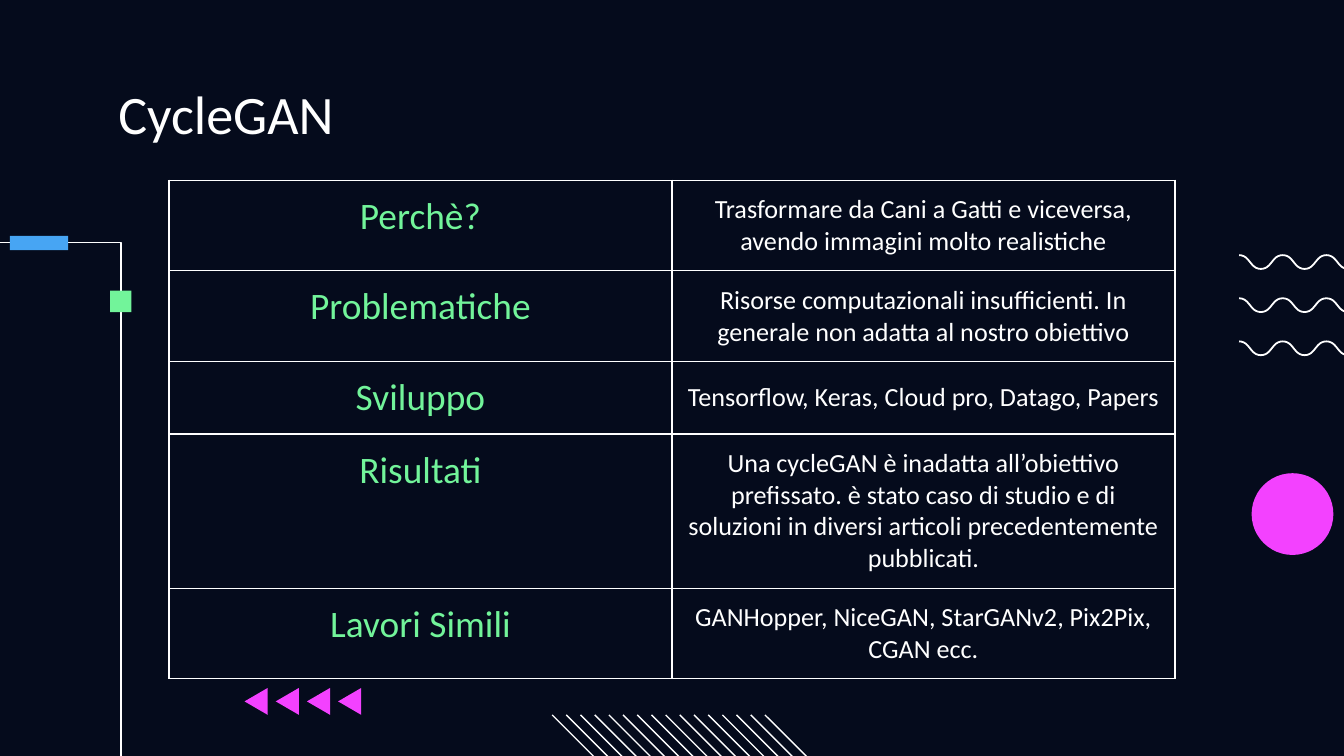
import dataclasses

import lxml.etree
import pptx
import pptx.dml.color
import pptx.enum.shapes
import pptx.enum.text
import pptx.oxml
import pptx.oxml.ns
import pptx.util

Pt = pptx.util.Pt
SHAPE = pptx.enum.shapes.MSO_SHAPE
ALIGN = pptx.enum.text.PP_ALIGN
ANCHOR = pptx.enum.text.MSO_ANCHOR
qn = pptx.oxml.ns.qn


@dataclasses.dataclass(frozen=True)
class Theme:
    navy: str = "050B1C"
    white: str = "FFFFFF"
    green: str = "72F49A"
    blue: str = "47A5F3"
    pink: str = "F341FF"
    font: str = "Calibri"
    title_size: float = 29
    label_size: float = 20
    body_size: float = 14
    thin: float = 0.75
    wave: float = 0.95


def rgb(value):
    return pptx.dml.color.RGBColor.from_string(value)


def write(tf, text, *, font, size, color, align=ALIGN.LEFT):
    """Put one formatted paragraph in a text frame."""
    tf.word_wrap = True
    p = tf.paragraphs[0]
    p.alignment = align
    r = p.add_run()
    r.text = text
    r.font.name = font
    r.font.size = Pt(size)
    r.font.bold = False
    r.font.color.rgb = rgb(color)


class Deck:
    def __init__(self, prs, theme):
        self.theme = theme
        self.s = prs.slides.add_slide(prs.slide_layouts[5])
        fill = self.s.background.fill
        fill.solid()
        fill.fore_color.rgb = rgb(theme.navy)

    def title(self, text, x, y, w, h):
        sp = self.s.shapes.title
        sp.left, sp.top, sp.width, sp.height = Pt(x), Pt(y), Pt(w), Pt(h)
        tf = sp.text_frame
        tf.auto_size = pptx.enum.text.MSO_AUTO_SIZE.NONE
        tf.vertical_anchor = ANCHOR.TOP
        tf.margin_left = tf.margin_right = tf.margin_bottom = Pt(7.2)
        tf.margin_top = 0
        write(tf, text, font=self.theme.font, size=self.theme.title_size,
              color=self.theme.white)

    def paint(self, sp, color):
        sp.shadow.inherit = False
        sp.fill.solid()
        sp.fill.fore_color.rgb = rgb(color)
        sp.line.fill.background()

    def shape(self, kind, x, y, w, h, color):
        sp = self.s.shapes.add_shape(kind, Pt(x), Pt(y), Pt(w), Pt(h))
        self.paint(sp, color)

    def outline(self, points, close):
        pts = [(Pt(x), Pt(y)) for x, y in points]
        fb = self.s.shapes.build_freeform(*pts[0])
        fb.add_line_segments(pts[1:], close=close)
        return fb.convert_to_shape()

    def polygon(self, points, color):
        self.paint(self.outline(points, True), color)

    def polyline(self, points, width):
        sp = self.outline(points, False)
        sp.shadow.inherit = False
        sp.fill.background()
        sp.line.color.rgb = rgb(self.theme.white)
        sp.line.width = Pt(width)

    def line(self, x1, y1, x2, y2):
        cx = self.s.shapes.add_connector(
            pptx.enum.shapes.MSO_CONNECTOR.STRAIGHT, Pt(x1), Pt(y1), Pt(x2), Pt(y2))
        cx.line.color.rgb = rgb(self.theme.white)
        cx.line.width = Pt(self.theme.thin)
        lxml.etree.SubElement(cx._element.spPr, qn("a:effectLst"))

    def cell_borders(self, cell):
        tc_pr = cell._tc.get_or_add_tcPr()
        for i, side in enumerate(("lnL", "lnR", "lnT", "lnB")):
            ln = lxml.etree.Element(qn("a:" + side), w=str(Pt(self.theme.thin)))
            fill = lxml.etree.SubElement(ln, qn("a:solidFill"))
            lxml.etree.SubElement(fill, qn("a:srgbClr"), val=self.theme.white)
            tc_pr.insert(i, ln)

    def table(self, rows, x, y, col_w, heights):
        t = self.theme
        tbl = self.s.shapes.add_table(
            len(rows), 2, Pt(x), Pt(y), Pt(2 * col_w), Pt(sum(heights))).table
        tbl.first_row = tbl.horz_banding = False
        for col in tbl.columns:
            col.width = Pt(col_w)
        styles = ((t.label_size, t.green, ANCHOR.TOP),
                  (t.body_size, t.white, ANCHOR.MIDDLE))
        for i, (texts, h) in enumerate(zip(rows, heights)):
            tbl.rows[i].height = Pt(h)
            for j, (text, (size, color, anchor)) in enumerate(zip(texts, styles)):
                cell = tbl.cell(i, j)
                cell.fill.background()
                cell.vertical_anchor = anchor
                cell.margin_left = cell.margin_right = Pt(7.2)
                cell.margin_top = cell.margin_bottom = Pt(7.2)
                write(cell.text_frame, text, font=t.font, size=size,
                      color=color, align=ALIGN.CENTER)
                self.cell_borders(cell)


def wave_points(x, y, half, height, count, steps=12):
    """Points of a wave made of S-curves that run down and up in turn."""
    points = [(x, y)]
    for n in range(count):
        for k in range(1, steps + 1):
            u = k / steps
            along = 1.5 * u * (1 - u) + u ** 3
            drop = 3 * u ** 2 - 2 * u ** 3
            points.append((x + half * (n + along),
                           y + height * (1 - drop if n % 2 else drop)))
    return points


ROWS = [
    ("Perchè?",
     "Trasformare da Cani a Gatti e viceversa, avendo immagini molto realistiche"),
    ("Problematiche",
     "Risorse computazionali insufficienti. In generale non adatta al nostro obiettivo"),
    ("Sviluppo", "Tensorflow, Keras, Cloud pro, Datago, Papers"),
    ("Risultati",
     "Una cycleGAN è inadatta all’obiettivo prefissato. è stato caso di studio e di "
     "soluzioni in diversi articoli precedentemente pubblicati."),
    ("Lavori Simili", "GANHopper, NiceGAN, StarGANv2, Pix2Pix, CGAN ecc."),
]


def main():
    prs = pptx.Presentation()
    prs.slide_width, prs.slide_height = Pt(720), Pt(405)
    theme = Theme()
    deck = Deck(prs, theme)

    # Corner line with its two blocks
    deck.polyline([(64.8, 441), (64.8, 130), (-179, 130)], theme.thin)
    deck.shape(SHAPE.RECTANGLE, 59, 155.8, 11.5, 11.5, theme.green)
    deck.shape(SHAPE.RECTANGLE, 5.3, 126.4, 31.2, 7.6, theme.blue)

    # Circle
    deck.shape(SHAPE.OVAL, 670.5, 253.5, 43.8, 43.8, theme.pink)

    # Row of arrowheads
    for i in range(4):
        x = 131 + 16.7 * i
        deck.polygon([(x + 12.4, 368.6), (x, 375.8), (x + 12.4, 383)], theme.pink)

    # Diagonal hatching
    for i in range(16):
        x = 295.8 + 7.6 * i
        deck.line(x, 383, x + 40.7, 423.7)

    # Waves
    for i in range(3):
        deck.polyline(wave_points(663.8, 136.7 + 23.1 * i, 11.7, 7.4, 7), theme.wave)

    # Title and table
    deck.title("CycleGAN", 56.2, 43, 607.6, 33)
    deck.table(ROWS, 90.5, 96.6, 269.5, [48.5, 48.5, 38.8, 82.5, 48.5])

    prs.save("out.pptx")


if __name__ == "__main__":
    main()
